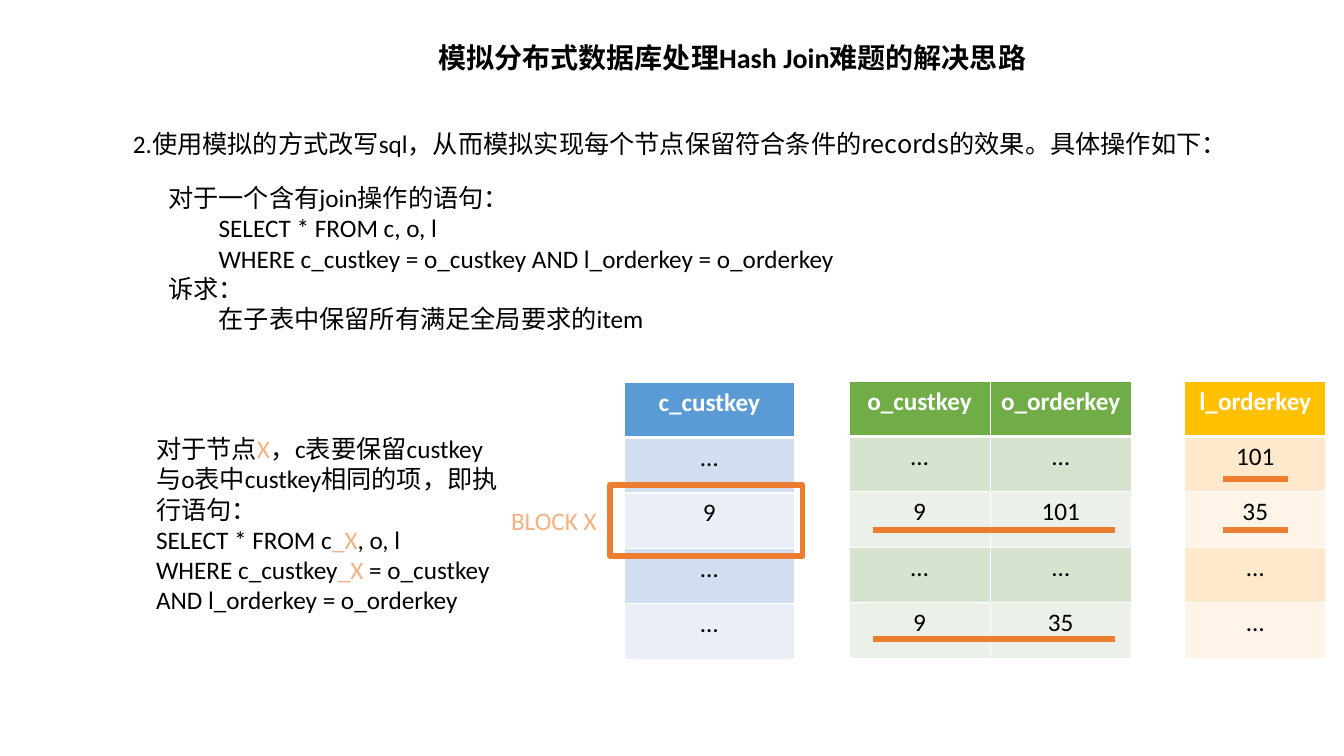
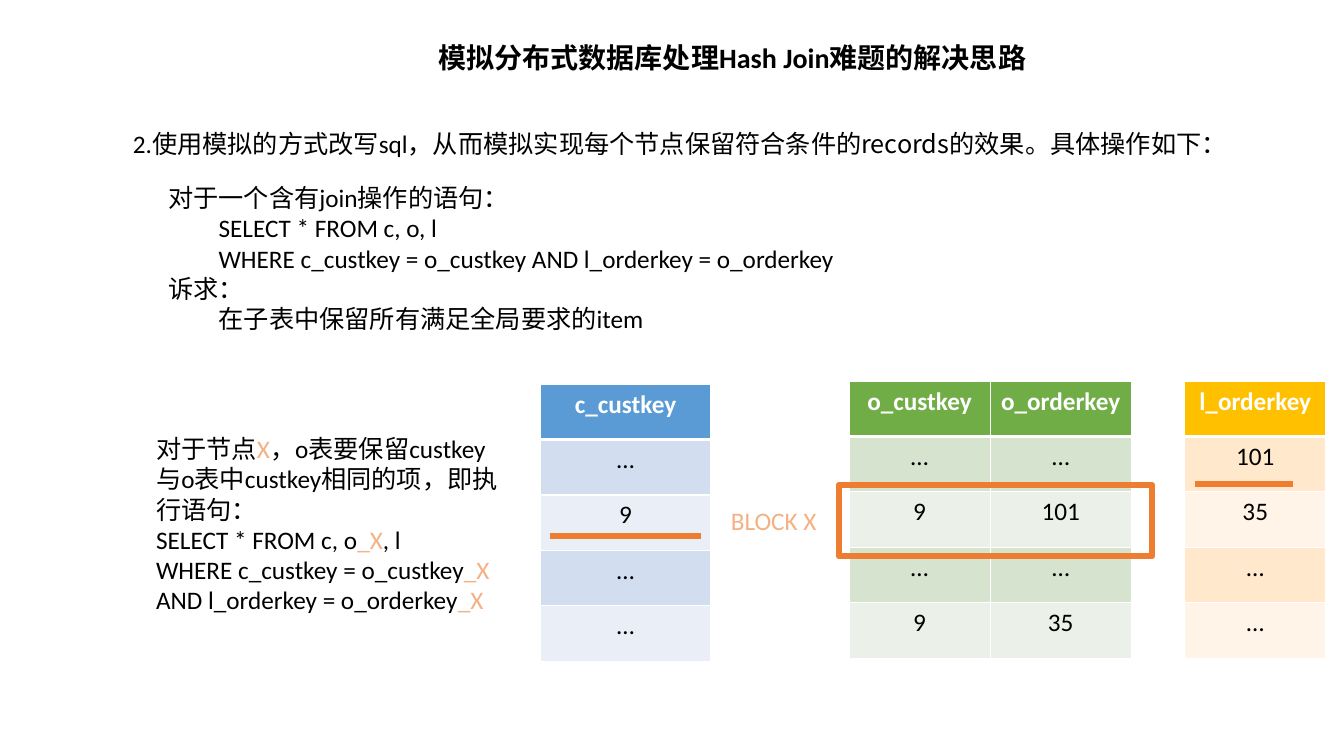
from dataclasses import dataclass

from lxml.etree import SubElement
from pptx import Presentation
from pptx.dml.color import RGBColor as Color
from pptx.enum.shapes import MSO_CONNECTOR as Connector, MSO_SHAPE as Preset
from pptx.enum.text import MSO_ANCHOR as Anchor, MSO_AUTO_SIZE as AutoSize, PP_ALIGN as Align
from pptx.oxml.ns import qn
from pptx.util import Inches, Pt


@dataclass(frozen=True)
class Theme:
    text: str = "000000"
    white: str = "FFFFFF"
    accent: str = "ED7D31"
    block: str = "F4B183"
    blue: tuple = ("5B9BD5", "D2DEEF", "EAEFF7")
    green: tuple = ("70AD47", "D5E3CF", "EBF1E9")
    gold: tuple = ("FFC000", "FFE8CC", "FFF4E7")
    font: str = "Calibri"
    wide_font: str = "Noto Sans CJK SC"
    title_size: int = 20
    body_size: int = 18
    frame_width: float = 4.25
    mark_width: float = 4
    border_width: int = 1
    header_border: int = 3


THEME = Theme()
TITLE = "模拟分布式数据库处理Hash Join难题的解决思路"
ROW_HEIGHT = 0.55

INTRO = [[
    "2.使用模拟的方式改写sql，从而模拟实现",
    ("每个节点保留符合条件的records的效果。具体操作如下：", {"name": THEME.wide_font}),
]]
STATEMENT = [
    ["对于一个含有join操作的语句："],
    ["SELECT * FROM c, o, l"],
    ["WHERE c_custkey = o_custkey AND l_orderkey = o_orderkey"],
    ["诉求："],
    ["在子表中保留所有满足全局要求的item"],
]
STATEMENT_INDENTS = (0, 0.5, 0.5, 0, 0.5)

CUSTOMERS = (["c_custkey"], ["…"], ["9"], ["…"], ["…"])
ORDERS = (["o_custkey", "o_orderkey"], ["…", "…"], ["9", "101"], ["…", "…"], ["9", "35"])
LINE_ITEMS = (["l_orderkey"], ["101"], ["35"], ["…"], ["…"])


def block_text(text):
    return text, {"color": THEME.block}


def format_font(font, **changes):
    values = {"name": THEME.font, "size": THEME.body_size, "bold": False,
              "color": THEME.text, **changes}
    font.color.rgb = Color.from_string(values.pop("color"))
    values["size"] = Pt(values["size"])
    for name, value in values.items():
        setattr(font, name, value)


def add_runs(paragraph, parts):
    for part in parts:
        text, changes = (part, {}) if isinstance(part, str) else part
        run = paragraph.add_run()
        run.text = text
        format_font(run.font, **changes)


def add_text(slide, box, lines, indents=()):
    frame = slide.shapes.add_textbox(*map(Inches, box)).text_frame
    frame.word_wrap = True
    for index, parts in enumerate(lines):
        paragraph = frame.add_paragraph() if index else frame.paragraphs[0]
        add_runs(paragraph, parts)
        if indents and indents[index]:
            paragraph._p.get_or_add_pPr().set("marL", str(Inches(indents[index])))


def add_title(slide):
    title = slide.shapes.title
    box = {"left": 4.25, "top": 0.35, "width": 10, "height": 0.44}
    for name, value in box.items():
        setattr(title, name, Inches(value))
    frame = title.text_frame
    settings = {"word_wrap": True, "auto_size": AutoSize.NONE, "vertical_anchor": Anchor.TOP}
    for name, value in settings.items():
        setattr(frame, name, value)
    paragraph = frame.paragraphs[0]
    paragraph.alignment = Align.LEFT
    add_runs(paragraph, [(TITLE, {"size": THEME.title_size, "bold": True})])


def add_borders(cell, bottom_width):
    properties = cell._tc.get_or_add_tcPr()
    widths = dict.fromkeys(("lnL", "lnR", "lnT"), THEME.border_width)
    for side, width in {**widths, "lnB": bottom_width}.items():
        line = SubElement(properties, qn(f"a:{side}"), w=str(Pt(width)))
        fill = SubElement(line, qn("a:solidFill"))
        SubElement(fill, qn("a:srgbClr"), val=THEME.white)


def add_key_table(slide, left, top, column_width, rows, palette):
    columns = len(rows[0])
    table = slide.shapes.add_table(
        len(rows), columns, Inches(left), Inches(top),
        Inches(column_width * columns), Inches(ROW_HEIGHT * len(rows))).table
    for column in table.columns:
        column.width = Inches(column_width)
    header, *bands = palette
    for row_index, row in enumerate(rows):
        is_header = row_index == 0
        table.rows[row_index].height = Inches(ROW_HEIGHT)
        for column_index, text in enumerate(row):
            cell = table.cell(row_index, column_index)
            add_borders(cell, THEME.header_border if is_header else THEME.border_width)
            cell.fill.solid()
            color = header if is_header else bands[(row_index - 1) % 2]
            cell.fill.fore_color.rgb = Color.from_string(color)
            paragraph = cell.text_frame.paragraphs[0]
            paragraph.alignment = Align.CENTER
            changes = {"bold": True, "color": THEME.white} if is_header else {}
            add_runs(paragraph, [(text, changes)])


def format_line(line, width):
    line.color.rgb = Color.from_string(THEME.accent)
    line.width = Pt(width)


def add_block_frame(slide, left, width):
    shape = slide.shapes.add_shape(
        Preset.RECTANGLE, Inches(left), Inches(4.81), Inches(width), Inches(0.71))
    shape.shadow.inherit = False
    shape.fill.background()
    format_line(shape.line, THEME.frame_width)


def add_underline(slide, start, end, top):
    connector = slide.shapes.add_connector(
        Connector.STRAIGHT, *map(Inches, (start, top, end, top)))
    format_line(connector.line, THEME.mark_width)
    SubElement(connector._element.spPr, qn("a:effectLst"))


def add_step(presentation, customers_at, frame, label_left, underlines, explanation):
    slide = presentation.slides.add_slide(presentation.slide_layouts[5])
    add_title(slide)
    add_text(slide, (1.22, 1.22, 11.73, 0.71), INTRO)
    add_text(slide, (1.57, 1.76, 11.03, 1.62), STATEMENT, STATEMENT_INDENTS)
    add_key_table(slide, *customers_at, 1.69, CUSTOMERS, THEME.blue)
    add_key_table(slide, 8.42, 3.78, 1.4, ORDERS, THEME.green)
    add_key_table(slide, 11.75, 3.78, 1.4, LINE_ITEMS, THEME.gold)
    add_block_frame(slide, *frame)
    add_text(slide, (label_left, 4.96, 1.38, 0.4), [[block_text("BLOCK X")]])
    for underline in underlines:
        add_underline(slide, *underline)
    add_text(slide, (1.45, 4.25, 3.63, 2.22), explanation)


def explain(table_name, *query):
    request = f"，{table_name}表要保留custkey与o表中custkey相同的项，即执行语句："
    return [["对于节点", block_text("X"), request], *query]


def main():
    presentation = Presentation()
    presentation.slide_width = Inches(13.33)
    presentation.slide_height = Inches(7.5)
    add_step(
        presentation, customers_at=(6.19, 3.79), frame=(6.05, 1.91), label_left=4.97,
        underlines=[(8.66, 11.06, 5.26), (8.66, 11.06, 6.34),
                    (12.13, 12.77, 5.26), (12.13, 12.77, 4.75)],
        explanation=explain(
            "c",
            ["SELECT * FROM c", block_text("_X"), ", o, l"],
            ["WHERE c_custkey", block_text("_X "),
             "= o_custkey AND l_orderkey = o_orderkey"]))
    add_step(
        presentation, customers_at=(5.36, 3.81), frame=(8.32, 3.11), label_left=7.15,
        underlines=[(11.85, 12.82, 4.8), (5.46, 6.95, 5.32)],
        explanation=explain(
            "o",
            ["SELECT * FROM c, o", block_text("_X"), ", l"],
            ["WHERE c_custkey = o_custkey", block_text("_X "),
             "AND l_orderkey = o_orderkey", block_text("_X")]))
    presentation.save("out.pptx")


if __name__ == "__main__":
    main()
